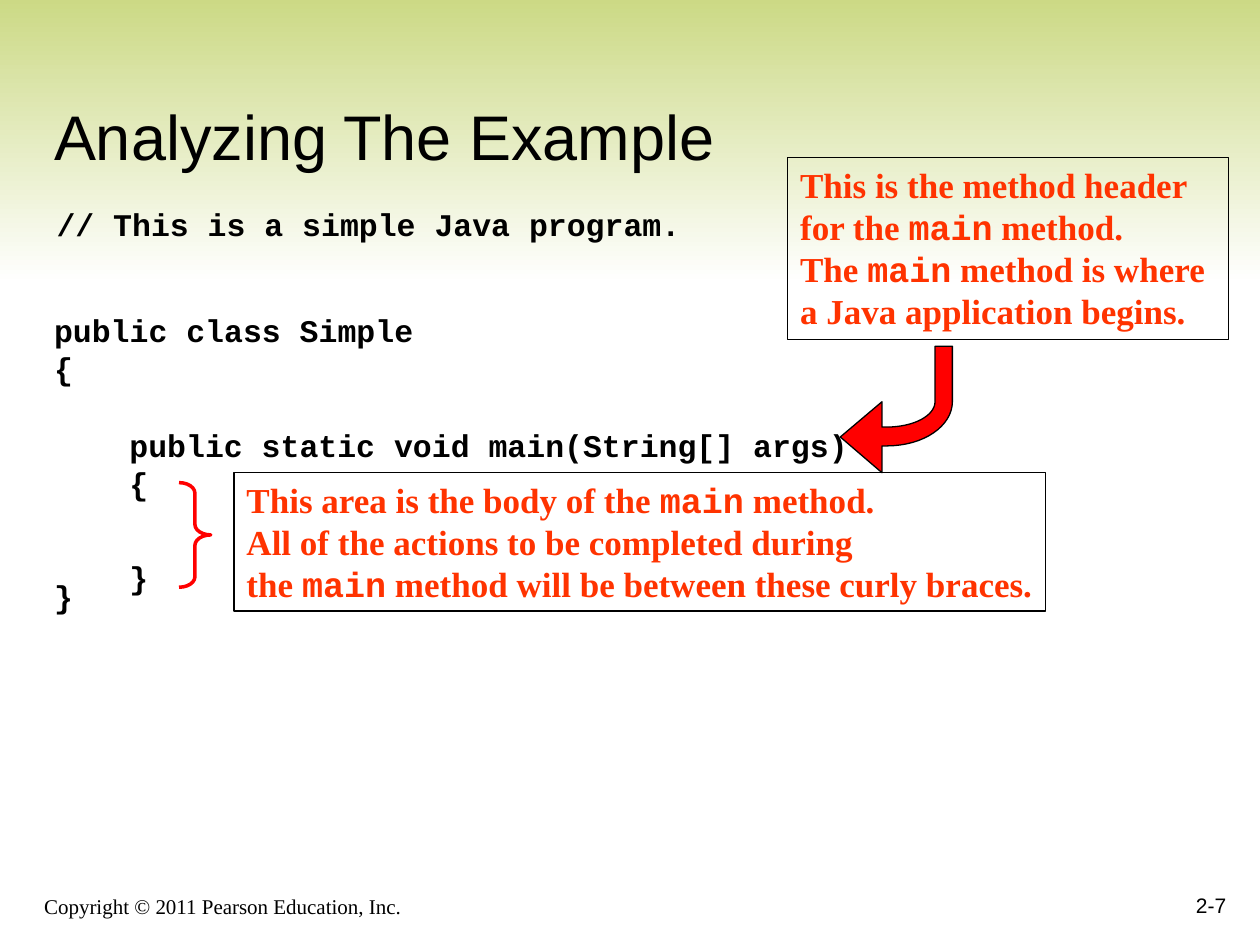
from pptx import Presentation
from pptx.dml.color import RGBColor
from pptx.enum.shapes import MSO_SHAPE
from pptx.enum.text import MSO_ANCHOR, PP_ALIGN
from pptx.util import Cm, Pt

BLACK = RGBColor(0, 0, 0)
WHITE = RGBColor(255, 255, 255)
GREEN = RGBColor(0xCA, 0xD8, 0x81)
RED = RGBColor(255, 0, 0)
ORANGE = RGBColor(0xFF, 0x33, 0)

SANS, SERIF, MONO = "Arial", "Times New Roman", "Courier New"
CODE = dict(name=MONO, size=Pt(18), bold=True)
NOTE = dict(name=SERIF, size=Pt(20), bold=True)


def curve(a, b, c, d, steps=16):
    """Points along a cubic curve from a to d, without a itself."""
    for i in range(1, steps + 1):
        t = i / steps
        u = 1 - t
        yield tuple(u**3 * p + 3 * u * u * t * q + 3 * u * t * t * r + t**3 * s
                    for p, q, r, s in zip(a, b, c, d))


class Deck:
    """Holds the style and the current slide."""

    def __init__(self, show):
        self.slide = show.slides.add_slide(show.slide_layouts[6])
        self.shapes = self.slide.shapes

    def style(self, font, form, color):
        for key, value in form.items():
            setattr(font, key, value)
        font.color.rgb = color

    def fill(self, frame, paras, form, color, wrap=True, gap=0,
             anchor=MSO_ANCHOR.TOP, align=PP_ALIGN.LEFT):
        """Write paragraphs; a list of parts alternates plain and code text."""
        frame.word_wrap = wrap
        frame.vertical_anchor = anchor
        for i, parts in enumerate(paras):
            para = frame.add_paragraph() if i else frame.paragraphs[0]
            para.alignment = align
            if i:
                para.space_before = Pt(gap)
            for j, part in enumerate(parts):
                for k, line in enumerate(part.split("\n")):
                    if k:
                        para.add_line_break()
                    run = para.add_run()
                    run.text = line
                    self.style(run.font, form, color)
                    if j % 2:
                        run.font.name = MONO

    def text(self, box, paras, form, **rest):
        item = self.shapes.add_textbox(*map(Cm, box))
        self.fill(item.text_frame, paras, form, BLACK, **rest)

    def trim(self, item, color, width):
        item.shadow.inherit = False
        item.line.color.rgb = color
        item.line.width = Pt(width)

    def band(self, box):
        item = self.shapes.add_shape(MSO_SHAPE.RECTANGLE, *map(Cm, box))
        item.shadow.inherit = False
        item.line.fill.background()
        item.fill.gradient()
        item.fill.gradient_angle = 270
        for stop, color in zip(item.fill.gradient_stops, (GREEN, WHITE)):
            stop.color.rgb = color

    def note(self, box, paras, wrap):
        item = self.shapes.add_shape(MSO_SHAPE.RECTANGLE, *map(Cm, box))
        item.fill.background()
        self.trim(item, BLACK, 0.75)
        self.fill(item.text_frame, paras, NOTE, ORANGE, wrap)

    def brace(self, box):
        item = self.shapes.add_shape(MSO_SHAPE.RIGHT_BRACE, *map(Cm, box))
        item.adjustments[0] = 0.33
        item.fill.background()
        self.trim(item, RED, 2)

    def arrow(self, points):
        first, *rest = [(Cm(x), Cm(y)) for x, y in points]
        pen = self.shapes.build_freeform(*first)
        pen.add_line_segments(rest, close=True)
        item = pen.convert_to_shape()
        item.fill.solid()
        item.fill.fore_color.rgb = RED
        self.trim(item, BLACK, 0.75)


def main():
    show = Presentation()
    show.slide_width, show.slide_height = Cm(25.4), Cm(19.05)
    deck = Deck(show)

    # Background band, footer and title
    deck.band((0, -0.2, 25.4, 5.92))
    deck.text((0.64, 17.58, 15.44, 1.07),
              [["Copyright © 2011 Pearson Education, Inc."]],
              dict(name=SERIF, size=Pt(12)), anchor=MSO_ANCHOR.BOTTOM)
    deck.text((19.69, 17.35, 5.28, 1.27), [["2-7"]],
              dict(name=SANS, size=Pt(12)),
              anchor=MSO_ANCHOR.BOTTOM, align=PP_ALIGN.RIGHT)
    deck.text((0.84, 0.84, 23.93, 2.77), [["Analyzing The Example"]],
              dict(name=SANS, size=Pt(36)), anchor=MSO_ANCHOR.BOTTOM)

    # Java code
    deck.text((0.89, 4.01, 13.08, 1.02),
              [["// This is a simple Java program."]], CODE, wrap=False)
    deck.text((0.84, 6.15, 8.26, 6.35),
              [["public class Simple\n{"], ["}"]], CODE, gap=108.7)
    deck.text((2.36, 8.46, 14.99, 4.55),
              [["public static void main(String[] args)\n{"], ["}"]],
              CODE, wrap=False, gap=32.2)

    # Note on the method body
    deck.note((4.72, 9.53, 16.36, 2.79), [
        ["This area is the body of the ", "main", " method."],
        ["All of the actions to be completed during"],
        ["the ", "main", " method will be between these curly braces."],
    ], wrap=False)
    deck.brace((3.61, 9.73, 0.64, 2.11))

    # Note on the method header, with its bent arrow
    deck.note((15.88, 3.18, 8.89, 3.66), [
        ["This is the method header for the ", "main", " method."],
        ["The ", "main", " method is where a Java application begins."],
    ], wrap=True)
    deck.arrow([
        (16.94, 8.81), (17.78, 9.53), (17.78, 8.99), (17.88, 8.99),
        *curve((17.88, 8.99), (18.62, 8.99), (19.2, 8.59), (19.2, 8.1)),
        (19.2, 6.98), (18.85, 6.98), (18.85, 8.1),
        *curve((18.85, 8.1), (18.85, 8.38), (18.42, 8.61), (17.88, 8.61)),
        (17.78, 8.61), (17.78, 8.1),
    ])

    show.save("out.pptx")


if __name__ == "__main__":
    main()
